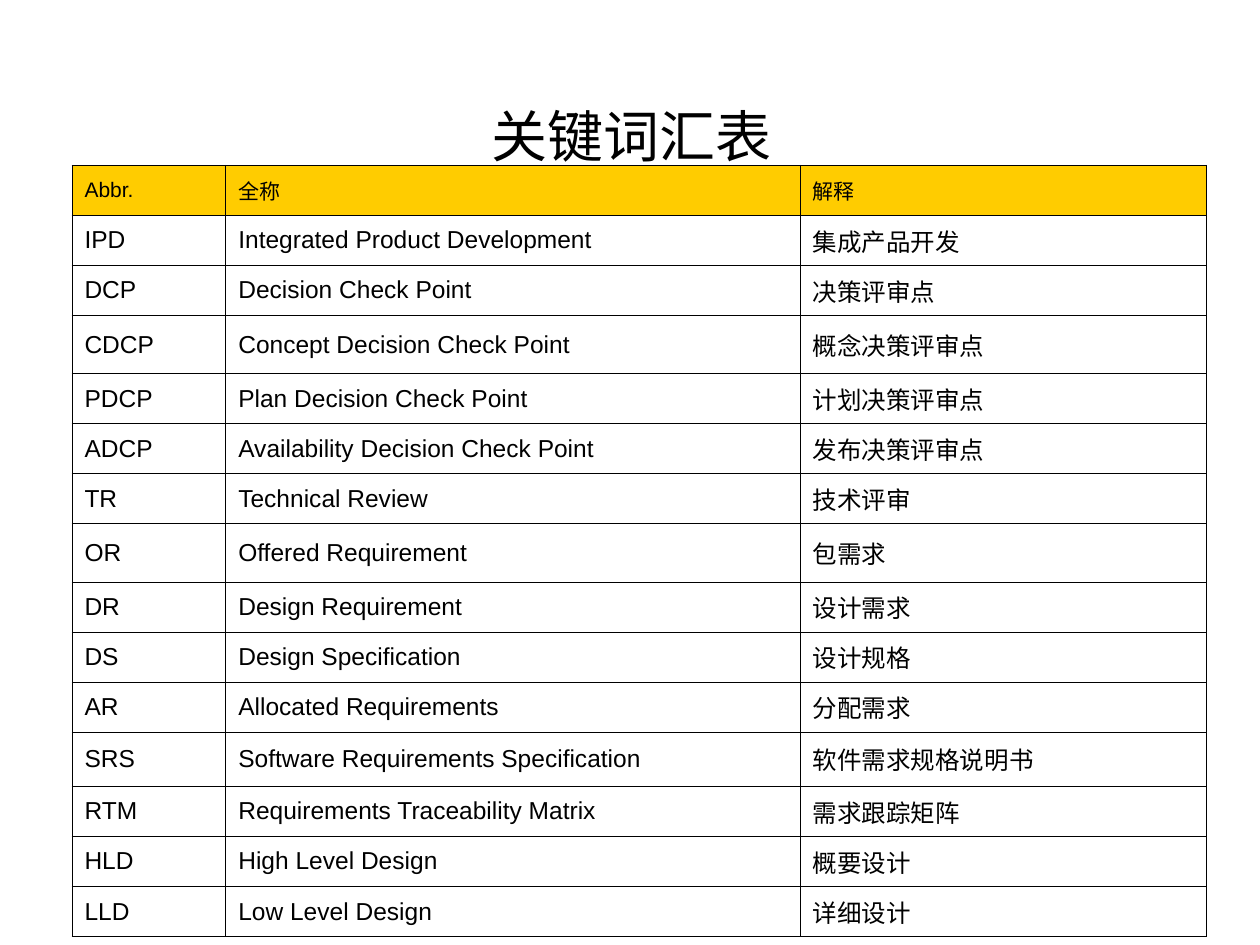
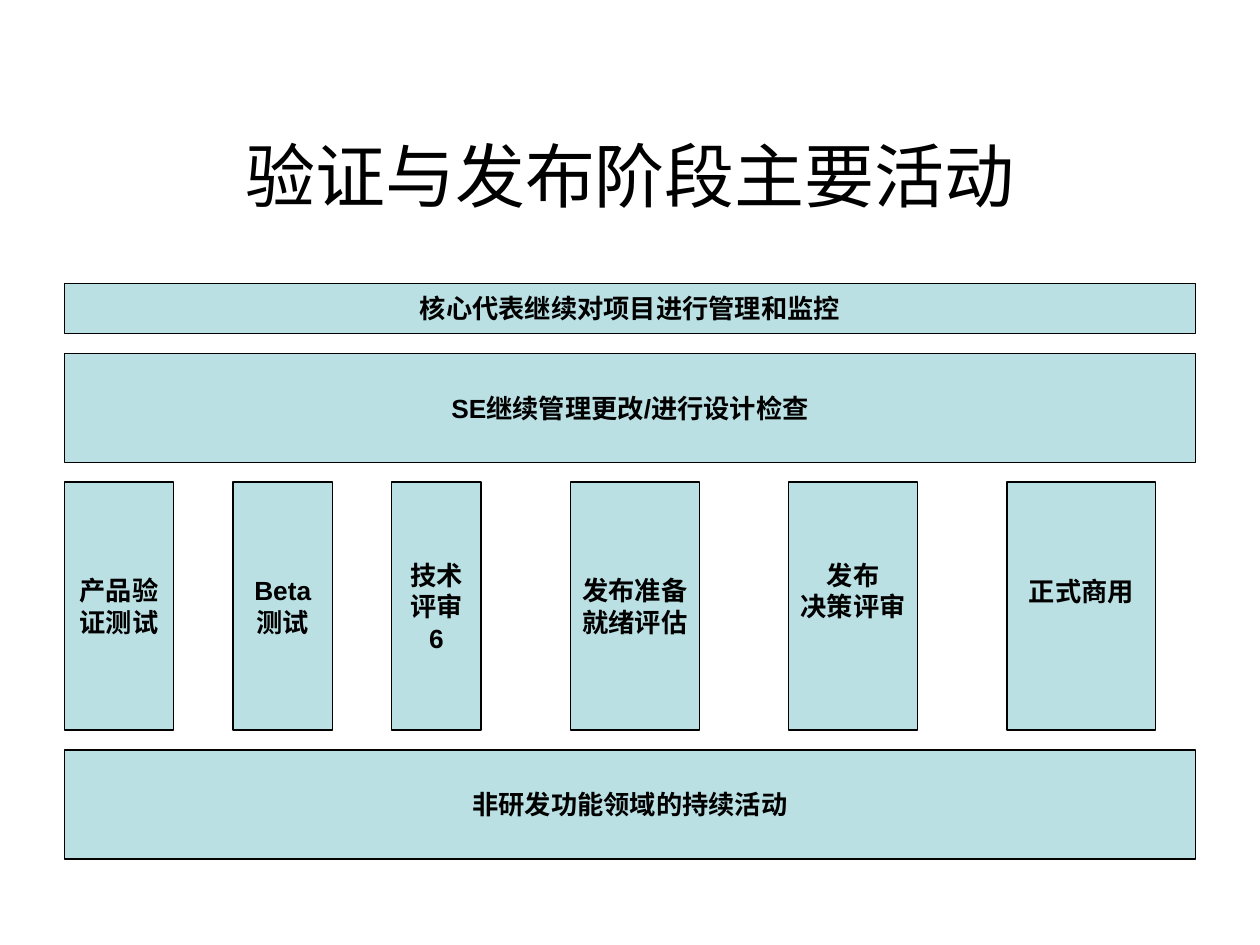
"""Build a glossary slide and a release-phase activity slide."""
from lxml import etree
from pptx import Presentation
from pptx import util as u
from pptx.dml.color import RGBColor
from pptx.enum import shapes, text as tx
from pptx.oxml import ns

TERMS = [
    ("Abbr.", "全称", "解释"),
    ("IPD", "Integrated Product Development", "集成产品开发"),
    ("DCP", "Decision Check Point", "决策评审点"),
    ("CDCP", "Concept Decision Check Point", "概念决策评审点"),
    ("PDCP", "Plan Decision Check Point", "计划决策评审点"),
    ("ADCP", "Availability Decision Check Point", "发布决策评审点"),
    ("TR", "Technical Review", "技术评审"),
    ("OR", "Offered Requirement", "包需求"),
    ("DR", "Design Requirement", "设计需求"),
    ("DS", "Design Specification", "设计规格"),
    ("AR", "Allocated Requirements", "分配需求"),
    ("SRS", "Software Requirements Specification", "软件需求规格说明书"),
    ("RTM", "Requirements Traceability Matrix", "需求跟踪矩阵"),
    ("HLD", "High Level Design", "概要设计"),
    ("LLD", "Low Level Design", "详细设计"),
]
COLS = (3.1, 11.58, 8.18)
ROW = 1.01
TALL = {3: 1.17, 7: 1.17, 11: 1.09}

STEPS = [
    dict(text="产品验\n证测试", wide=2.2, gap=1.2),
    dict(text="Beta\n测试", wide=2.0, gap=1.2),
    dict(text="技术\n评审\n6", wide=1.8, gap=1.8),
    dict(text="发布准备\n就绪评估", wide=2.6, gap=1.8),
    dict(text="发布\n决策评审", wide=2.6, gap=1.8, foot=0.75),
    dict(text="正式商用", wide=3.0, gap=0, foot=0.75),
]
BANDS = [
    ("核心代表继续对项目进行管理和监控", 1.0),
    ("SE继续管理更改/进行设计检查", 2.2),
    (STEPS, 5.0),
    ("非研发功能领域的持续活动", 2.2),
]
LEFT, TOP, WIDE, GAP = 1.3, 5.72, 22.8, 0.4

LATIN, HAN = "Arial", "Noto Sans CJK SC"
INK, GOLD, AQUA = "000000", "FFCC00", "BBE0E3"


def rgb(code):
    """Turn a hex string into a colour."""
    return RGBColor.from_string(code)


def write(frame, text, size=15, bold=False, align=tx.PP_ALIGN.CENTER, face=LATIN):
    """Fill a text frame, one paragraph for each line of text."""
    for i, line in enumerate(text.split("\n")):
        para = frame.add_paragraph() if i else frame.paragraphs[0]
        para.alignment = align
        run = para.add_run()
        run.text = line
        font = run.font
        font.name, font.size, font.bold = face, u.Pt(size), bold
        font.color.rgb = rgb(INK)
        etree.SubElement(run._r.rPr, ns.qn("a:ea"), typeface=HAN)


def start(deck, title, size, place):
    """Add a slide with its title and return it."""
    slide = deck.slides.add_slide(deck.slide_layouts[5])
    head = slide.shapes.title
    head.left, head.top, head.width, head.height = map(u.Cm, place)
    frame = head.text_frame
    frame.auto_size = tx.MSO_AUTO_SIZE.NONE
    frame.vertical_anchor = tx.MSO_ANCHOR.MIDDLE
    write(frame, title, size=size)
    return slide


def edge(cell):
    """Draw thin lines on all four sides of a cell."""
    props = cell._tc.get_or_add_tcPr()
    for side in ("lnL", "lnR", "lnT", "lnB"):
        line = etree.SubElement(props, ns.qn("a:" + side), w=str(u.Pt(0.45)))
        fill = etree.SubElement(line, ns.qn("a:solidFill"))
        etree.SubElement(fill, ns.qn("a:srgbClr"), val=INK)


def grid(slide):
    """Add the glossary table."""
    highs = [TALL.get(i, ROW) for i in range(len(TERMS))]
    table = slide.shapes.add_table(
        len(TERMS), len(COLS), u.Cm(1.45), u.Cm(3.33),
        u.Cm(sum(COLS)), u.Cm(sum(highs))).table
    table.first_row = table.horz_banding = False
    for col, wide in zip(table.columns, COLS):
        col.width = u.Cm(wide)
    for i, (row, terms) in enumerate(zip(table.rows, TERMS)):
        row.height = u.Cm(highs[i])
        for cell, term in zip(row.cells, terms):
            edge(cell)
            if i:
                cell.fill.background()
            else:
                cell.fill.solid()
                cell.fill.fore_color.rgb = rgb(GOLD)
            cell.vertical_anchor = tx.MSO_ANCHOR.MIDDLE
            write(cell.text_frame, term, size=14 if i else 12,
                  align=tx.PP_ALIGN.LEFT,
                  face=LATIN if term.isascii() else HAN)


def box(slide, text, place, foot=0.13):
    """Add a pale box with bold centred text."""
    shape = slide.shapes.add_shape(
        shapes.MSO_SHAPE.RECTANGLE, *map(u.Cm, place))
    shape.shadow.inherit = False
    shape.fill.solid()
    shape.fill.fore_color.rgb = rgb(AQUA)
    shape.line.color.rgb = rgb(INK)
    shape.line.width = u.Pt(0.75)
    frame = shape.text_frame
    frame.word_wrap = False
    frame.vertical_anchor = tx.MSO_ANCHOR.MIDDLE
    frame.margin_bottom = u.Cm(foot)
    write(frame, text, bold=True)


def stack(slide):
    """Stack the bands, with the steps side by side in theirs."""
    top = TOP
    for part, high in BANDS:
        if part is STEPS:
            left = LEFT
            for step in STEPS:
                box(slide, step["text"], (left, top, step["wide"], high),
                    foot=step.get("foot", 0.13))
                left += step["wide"] + step["gap"]
        else:
            box(slide, part, (LEFT, top, WIDE, high))
        top += high + GAP


def main():
    """Build both slides and save the deck."""
    deck = Presentation()
    deck.slide_width, deck.slide_height = u.Cm(25.4), u.Cm(19.05)
    grid(start(deck, "关键词汇表", 32, (1.3, 2.13, 22.86, 1.2)))
    stack(start(deck, "验证与发布阶段主要活动", 40, (0, 2.51, 25.4, 2)))
    deck.save("out.pptx")


if __name__ == "__main__":
    main()
